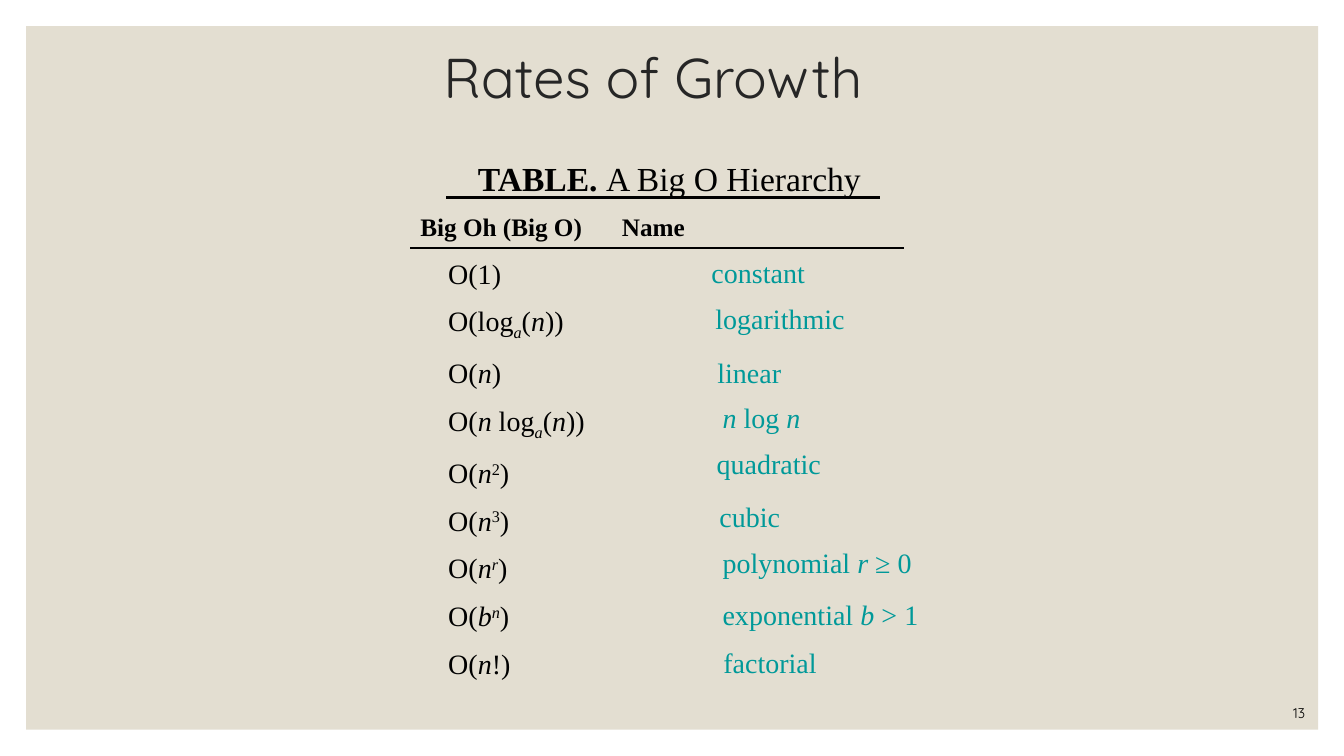
import pptx
import pptx.dml.color
import pptx.enum.shapes
import pptx.enum.text
import pptx.oxml.ns
import pptx.util
from lxml import etree

Cm = pptx.util.Cm
Pt = pptx.util.Pt
ALIGN = pptx.enum.text.PP_ALIGN
ANCHOR = pptx.enum.text.MSO_ANCHOR
SERIF, SANS = "Times New Roman", "Quicksand"
BLACK, TEAL = "000000", "009999"
BASELINES = {"sub": "-25000", "sup": "30000"}

# Each span is its text, followed by any of: bold, italic, sub, sup.
N = ("n", "italic")
LOG_BASE = ("a", "italic", "sub")

# Order of growth, its name, and where the name's box sits in the table (cm).
HIERARCHY = [
    ([("O(1)",)], [("constant",)], 7.34, 2.48),
    ([("O(log",), LOG_BASE, ("(",), N, ("))",)], [("logarithmic",)], 7.44, 3.63),
    ([("O(",), N, (")",)], [("linear",)], 7.49, 5.0),
    ([("O(",), N, (" log",), LOG_BASE, ("(",), N, ("))",)],
     [N, (" log ",), N], 7.62, 6.12),
    ([("O(",), N, ("2", "sup"), (")",)], [("quadratic",)], 7.47, 7.29),
    ([("O(",), N, ("3", "sup"), (")",)], [("cubic",)], 7.54, 8.61),
    ([("O(",), N, ("r", "italic", "sup"), (")",)],
     [("polynomial ",), ("r", "italic"), (" ≥ 0",)], 7.62, 9.77),
    ([("O(",), ("b", "italic"), ("n", "italic", "sup"), (")",)],
     [("exponential ",), ("b", "italic"), (" > 1",)], 7.62, 11.1),
    ([("O(",), N, ("!)",)], [("factorial",)], 7.64, 12.29),
]


def color(value):
    """Turn a hex string into a colour."""
    return pptx.dml.color.RGBColor.from_string(value)


def place(shape, box):
    """Move a shape to a box of left, top, width, height in cm."""
    shape.left, shape.top, shape.width, shape.height = map(Cm, box)


def write(para, spans, size, font=SERIF, ink=BLACK):
    """Fill a paragraph with spans in one font, size and colour."""
    para.font.name, para.font.size = font, Pt(size)
    para.font.color.rgb = color(ink)
    for text, *styles in spans:
        span = para.add_run()
        span.text = text
        if "bold" in styles:
            span.font.bold = True
        if "italic" in styles:
            span.font.italic = True
        for shift in BASELINES.keys() & set(styles):
            span.font._element.set("baseline", BASELINES[shift])


def format_list_line(para, indent, before, tab=None):
    """Remove the bullet and set indent and tab (cm) and space before (pt)."""
    para.line_spacing, para.space_before = 1.0, Pt(before)
    properties = para._p.get_or_add_pPr()
    properties.set("marL", str(Cm(indent)))
    properties.set("indent", "0")
    bullet = etree.Element(pptx.oxml.ns.qn("a:buNone"))
    properties.find(pptx.oxml.ns.qn("a:defRPr")).addprevious(bullet)
    if tab:
        stops = etree.Element(pptx.oxml.ns.qn("a:tabLst"))
        bullet.addnext(stops)
        etree.SubElement(stops, pptx.oxml.ns.qn("a:tab"), pos=str(Cm(tab)), algn="l")


def add_panel(page, box):
    """Lay the beige panel behind everything else."""
    panel = page.shapes.add_shape(pptx.enum.shapes.MSO_SHAPE.RECTANGLE, *map(Cm, box))
    panel.shadow.inherit = False
    panel.fill.solid()
    panel.fill.fore_color.rgb = color("E3DED1")
    panel.line.fill.background()
    page.shapes.title.element.addprevious(panel.element)


def add_title(page, box):
    """Place and fill the title."""
    title = page.shapes.title
    place(title, box)
    frame = title.text_frame
    frame.auto_size = pptx.enum.text.MSO_AUTO_SIZE.NONE
    frame.vertical_anchor = ANCHOR.MIDDLE
    para = frame.paragraphs[0]
    para.alignment, para.line_spacing = ALIGN.LEFT, 0.9
    write(para, [("Rates of Growth",)], 40, SANS, "262626")


def add_text(page, box, spans, size, font=SERIF, ink=BLACK):
    """Add a one-line text box and return it."""
    label = page.shapes.add_textbox(*map(Cm, box))
    label.text_frame.word_wrap = True
    write(label.text_frame.paragraphs[0], spans, size, font, ink)
    return label


def add_rule(page, left, right, top):
    """Draw a horizontal black rule."""
    rule = page.shapes.add_connector(pptx.enum.shapes.MSO_CONNECTOR.STRAIGHT,
                                     Cm(left), Cm(top), Cm(right), Cm(top))
    rule.line.color.rgb, rule.line.width = color(BLACK), Pt(2)
    etree.SubElement(rule.element.spPr, pptx.oxml.ns.qn("a:effectLst"))


def add_hierarchy(page, box):
    """Build the caption, headings, orders, names and rules of the table."""
    left, top, width, height = box
    body = page.placeholders[1]
    place(body, box)
    frame = body.text_frame
    frame.auto_size = pptx.enum.text.MSO_AUTO_SIZE.NONE

    caption = frame.paragraphs[0]
    write(caption, [("TABLE. ", "bold"), ("A Big O Hierarchy",)], 24)
    format_list_line(caption, 1.45, 5)
    heading = frame.add_paragraph()
    write(heading, [("Big Oh (Big O)\tName", "bold")], 18)
    format_list_line(heading, 0, 10, tab=4.73)

    for order, name, across, down in HIERARCHY:
        para = frame.add_paragraph()
        write(para, order, 20)
        format_list_line(para, 0.7, 10)
        add_text(page, (left + across, top + down, 5.6, 1.12), name, 20, ink=TEAL)

    add_rule(page, left + 0.91, left + 11.84, top + 1.14)
    add_rule(page, left, left + 12.45, top + 2.41)


def add_page_number(page, box):
    """Add the page number at the bottom right."""
    number = add_text(page, box, [("13",)], 10, SANS)
    number.text_frame.vertical_anchor = ANCHOR.BOTTOM
    number.text_frame.paragraphs[0].alignment = ALIGN.RIGHT


deck = pptx.Presentation()
deck.slide_width, deck.slide_height = Cm(33.87), Cm(19.05)
page = deck.slides.add_slide(deck.slide_layouts[1])
add_panel(page, (0.66, 0.66, 32.56, 17.73))
add_title(page, (10.92, 0.94, 11.89, 2.16))
add_hierarchy(page, (10.34, 3.84, 13.94, 13.67))
add_page_number(page, (29.08, 17.53, 4.06, 0.76))
deck.save("out.pptx")
